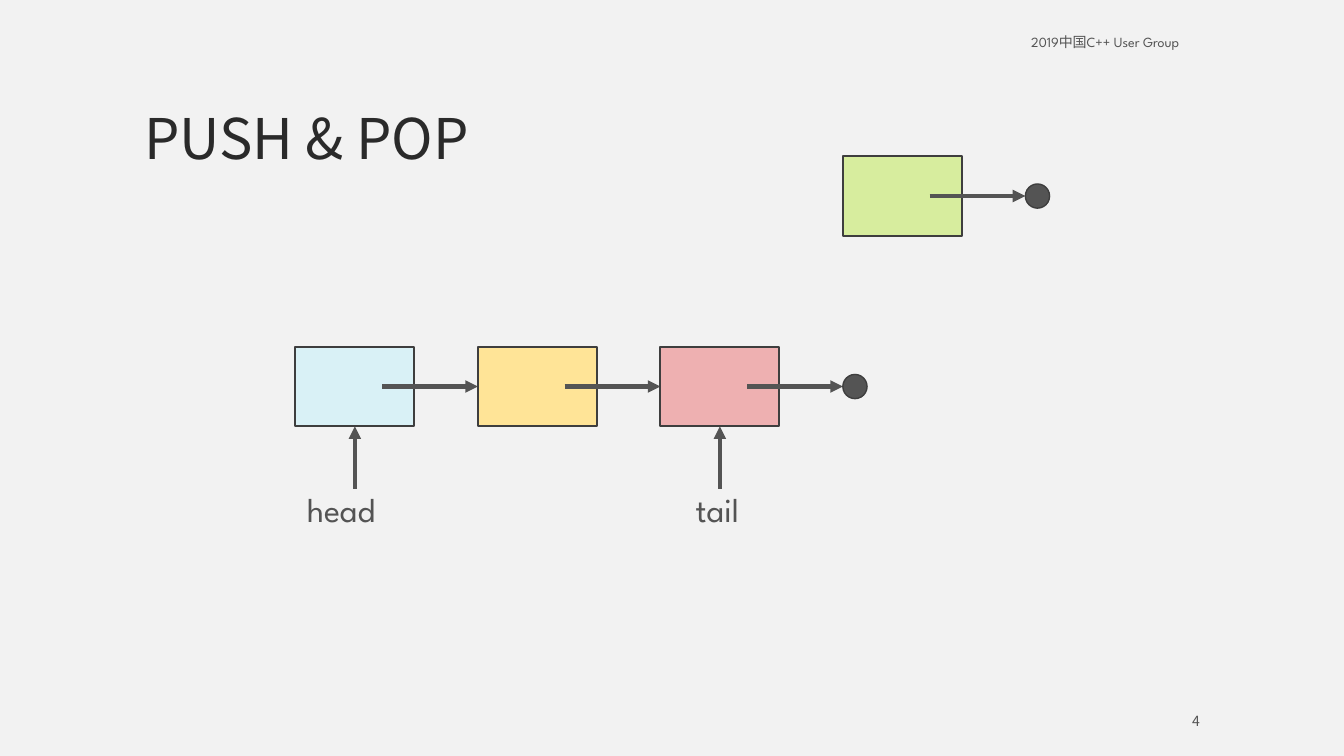
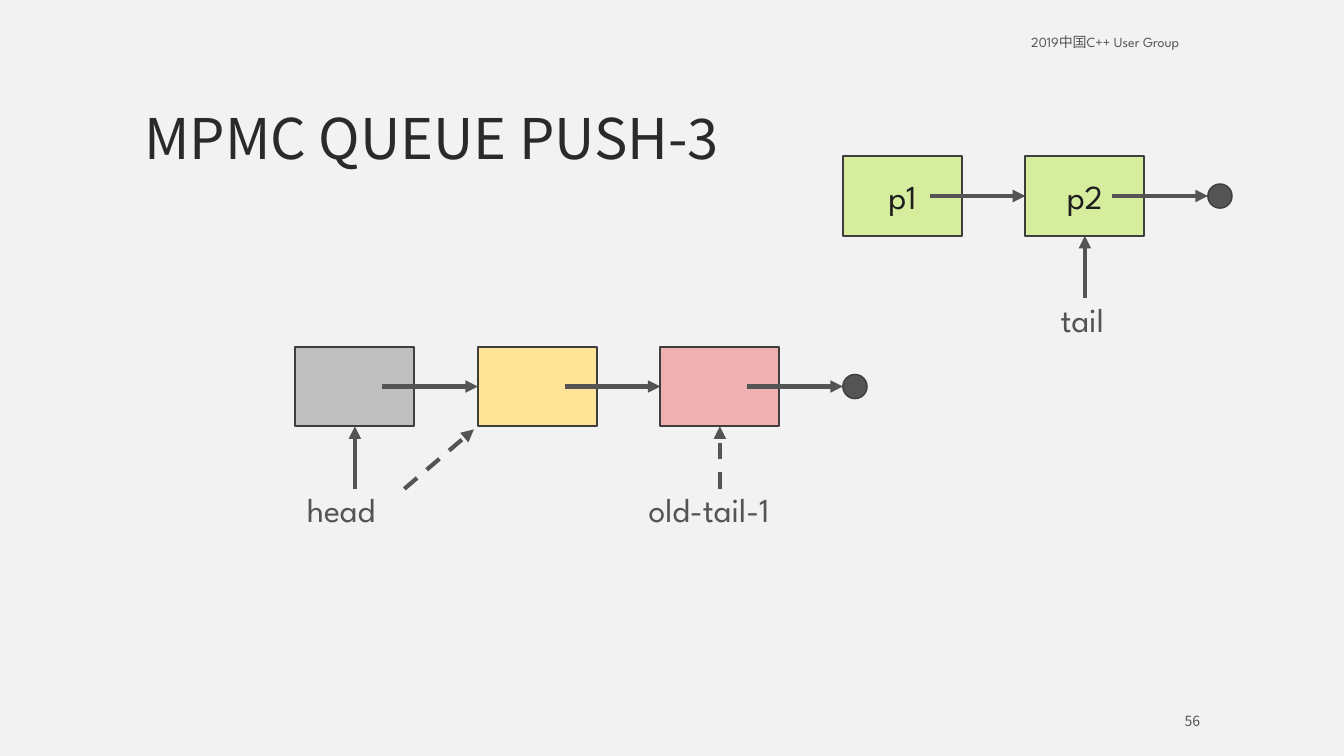
from lxml.etree import SubElement
from pptx import Presentation
from pptx.dml.color import RGBColor
from pptx.enum.dml import MSO_LINE
from pptx.enum.shapes import MSO_CONNECTOR, MSO_SHAPE
from pptx.enum.text import MSO_ANCHOR, MSO_AUTO_SIZE, PP_ALIGN
from pptx.oxml.ns import qn
from pptx.util import Inches, Pt

LATIN = "League Spartan"
CJK = "Noto Sans CJK SC"
PAPER, TITLE, GREY, OUTLINE, INK = "F2F2F2", "2A2A2A", "545454", "3E3E3E", "1E1E1E"
BLUE, YELLOW, RED, GREEN, SILVER = "D9F1F6", "FFE497", "EEB0B1", "D7ED9E", "BFBFBF"

FIRST_LEFT, PITCH = 2.93, 1.81
NODE_WIDTH, NODE_HEIGHT = 1.18, 0.79
LINK_OFFSET = 0.86
DOT_SIZE = 0.24
POINTER_LENGTH = 0.62
UPPER_ROW, LOWER_ROW = 1.55, 3.44


def color(hex_value):
    return RGBColor.from_string(hex_value)


def column_left(column):
    return FIRST_LEFT + column * PITCH


def write(frame, text, size, font, ink, align=PP_ALIGN.LEFT, anchor=MSO_ANCHOR.TOP, spacing=0.9):
    frame.word_wrap = True
    frame.auto_size = MSO_AUTO_SIZE.NONE
    frame.vertical_anchor = anchor
    para = frame.paragraphs[0]
    para.alignment = align
    para.line_spacing = spacing
    span = para.add_run()
    span.text = text
    span.font.size = Pt(size)
    span.font.name = font
    span.font.color.rgb = color(ink)
    SubElement(span.font._element, qn("a:ea")).set("typeface", CJK)


def add_text(page, left, top, width, height, *text, **style):
    box = page.shapes.add_textbox(Inches(left), Inches(top), Inches(width), Inches(height))
    write(box.text_frame, *text, **style)
    return box


def add_page(deck, title, number):
    page = deck.slides.add_slide(deck.slide_layouts[5])
    heading = page.shapes.title
    heading.left, heading.top = Inches(1.33), Inches(0.3)
    heading.width, heading.height = Inches(10.67), Inches(1.45)
    write(heading.text_frame, title, 40, CJK, TITLE, anchor=MSO_ANCHOR.BOTTOM)
    add_text(page, 10.13, 0.3, 1.87, 0.25, "2019中国C++ User Group", 10, LATIN, GREY)
    footer = add_text(page, 10.75, 7.05, 1.25, 0.2, str(number), 10, CJK, GREY,
                      align=PP_ALIGN.RIGHT, anchor=MSO_ANCHOR.MIDDLE, spacing=1.0)
    footer.text_frame.margin_top = footer.text_frame.margin_bottom = 0
    return page


def add_shape(page, kind, left, top, width, height, fill, line_width):
    shape = page.shapes.add_shape(kind, Inches(left), Inches(top), Inches(width), Inches(height))
    shape.shadow.inherit = False
    shape.fill.solid()
    shape.fill.fore_color.rgb = color(fill)
    shape.line.color.rgb = color(OUTLINE)
    shape.line.width = Pt(line_width)
    return shape


def add_arrow(page, start, end, dashed=False):
    arrow = page.shapes.add_connector(MSO_CONNECTOR.STRAIGHT, *map(Inches, start + end))
    arrow.line.color.rgb = color(GREY)
    arrow.line.width = Pt(3)
    if dashed:
        arrow.line.dash_style = MSO_LINE.DASH
    properties = arrow._element.spPr
    SubElement(properties.find(qn("a:ln")), qn("a:tailEnd")).set("type", "triangle")
    SubElement(properties, qn("a:effectLst"))


def add_chain(page, first_column, top, nodes):
    middle = top + NODE_HEIGHT / 2
    for column, (fill, name) in enumerate(nodes, first_column):
        left = column_left(column)
        node = add_shape(page, MSO_SHAPE.RECTANGLE, left, top, NODE_WIDTH, NODE_HEIGHT, fill, 1.5)
        if name:
            write(node.text_frame, name, 24, LATIN, INK, align=PP_ALIGN.CENTER,
                  anchor=MSO_ANCHOR.MIDDLE, spacing=1.0)
        add_arrow(page, (left + LINK_OFFSET, middle), (column_left(column + 1), middle))
    add_shape(page, MSO_SHAPE.OVAL, column_left(first_column + len(nodes)),
              middle - DOT_SIZE / 2, DOT_SIZE, DOT_SIZE, GREY, 1)


def add_pointer(page, column, row_top, label, label_width, dashed=False):
    center = column_left(column) + NODE_WIDTH / 2
    tip = row_top + NODE_HEIGHT
    base = tip + POINTER_LENGTH
    add_arrow(page, (center, base), (center, tip), dashed)
    add_text(page, center - label_width / 2, base, label_width, 0.46, label, 24, LATIN, GREY)


def build_push_pop(deck):
    page = add_page(deck, "PUSH & POP", 4)
    add_chain(page, 0, LOWER_ROW, [(BLUE, ""), (YELLOW, ""), (RED, "")])
    add_pointer(page, 0, LOWER_ROW, "head", 1.15)
    add_pointer(page, 2, LOWER_ROW, "tail", 0.68)
    add_chain(page, 3, UPPER_ROW, [(GREEN, "")])


def build_queue_push(deck):
    page = add_page(deck, "MPMC QUEUE PUSH-3", 56)
    add_chain(page, 0, LOWER_ROW, [(SILVER, ""), (YELLOW, ""), (RED, "")])
    add_pointer(page, 0, LOWER_ROW, "head", 1.15)
    add_arrow(page, (4.01, 4.85), (4.7, 4.26), dashed=True)
    add_pointer(page, 2, LOWER_ROW, "old-tail-1", 1.61, dashed=True)
    add_chain(page, 3, UPPER_ROW, [(GREEN, "p1"), (GREEN, "p2")])
    add_pointer(page, 4, UPPER_ROW, "tail", 0.68)


def main():
    deck = Presentation()
    deck.slide_width, deck.slide_height = Inches(13.33), Inches(7.5)
    backdrop = deck.slide_master.background.fill
    backdrop.solid()
    backdrop.fore_color.rgb = color(PAPER)
    build_push_pop(deck)
    build_queue_push(deck)
    deck.save("out.pptx")


if __name__ == "__main__":
    main()
